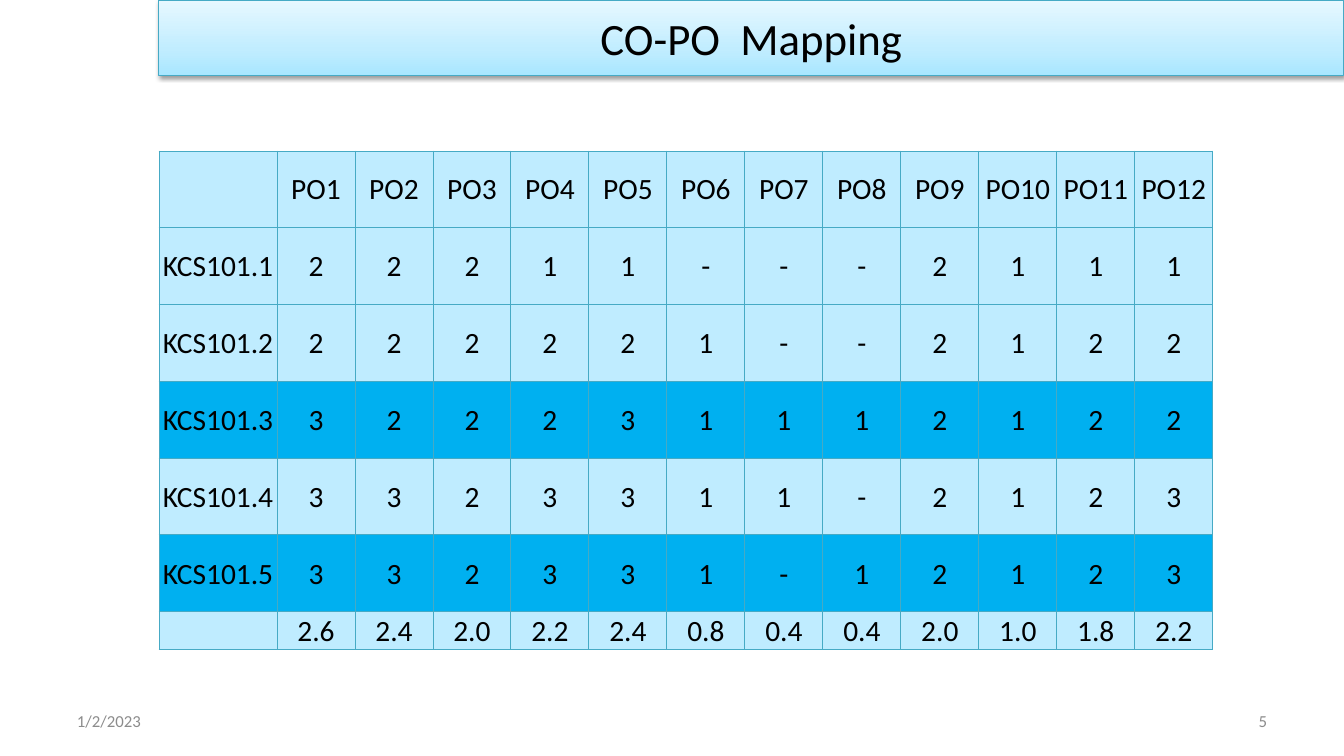
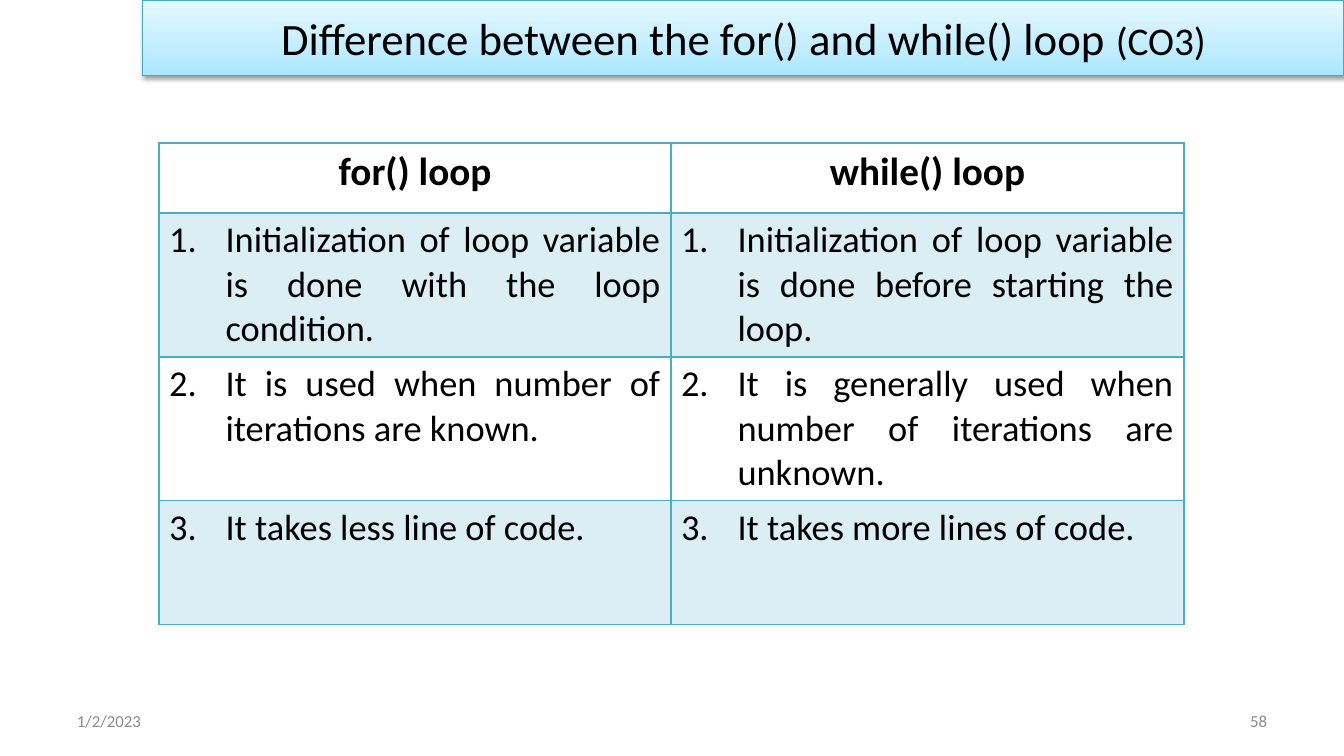
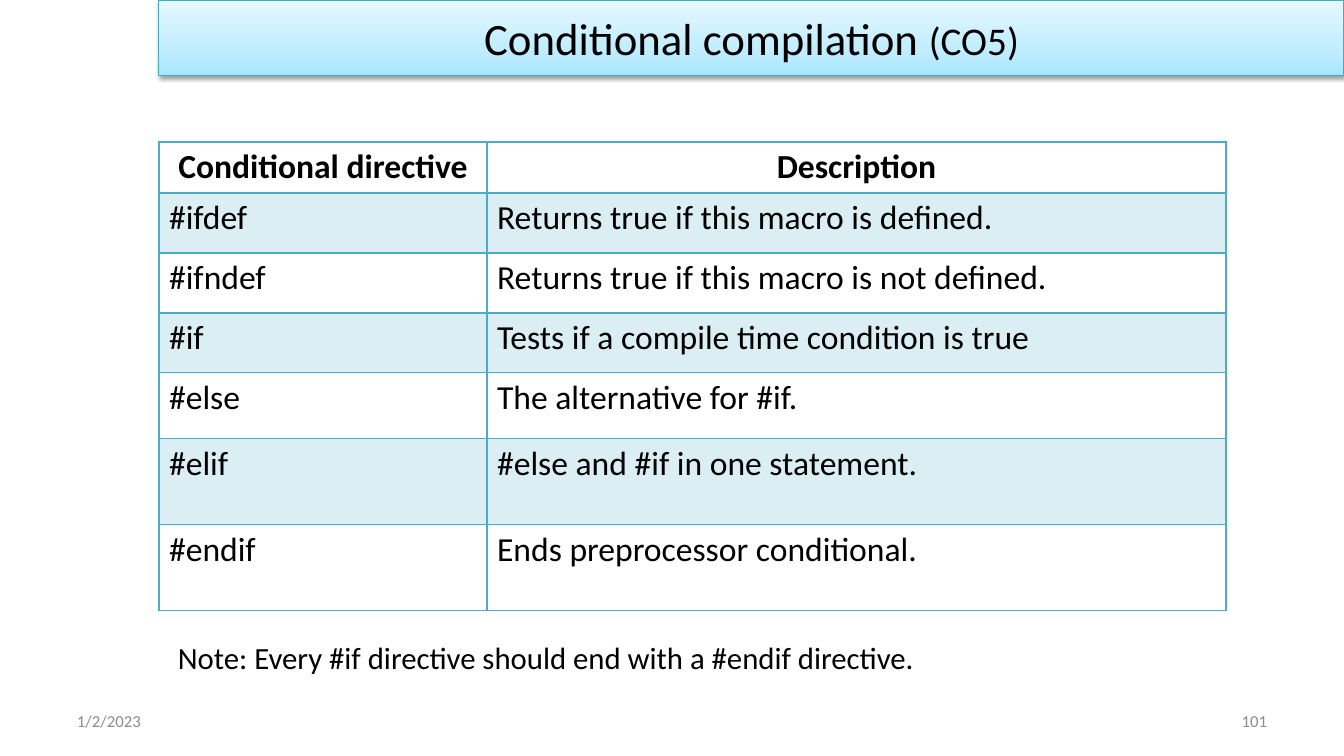
from copy import deepcopy

from pptx import Presentation, util as u
from pptx.dml.color import RGBColor
from pptx.enum import shapes, text
from pptx.oxml import parse_xml
from pptx.oxml.ns import nsdecls, qn

PX = 914400 / 100.8
WIDTH, HEIGHT = 1344, 756
LEFT = 159
AL = text.PP_ALIGN
MIDDLE = text.MSO_ANCHOR.MIDDLE


def px(n):
    """Turn pixels into EMU."""
    return u.Emu(round(n * PX))


def rgb(value):
    """Turn a hex string into a colour."""
    return RGBColor.from_string(value)


def put(obj, **values):
    """Set several attributes of one object."""
    for name, value in values.items():
        setattr(obj, name, value)


class Deck:
    """Holds the shared style and the current slide."""

    FONT = "Calibri"
    INK, MUTED = "000000", "8C8C8C"
    BAR_STOPS = [(0, "A7E6FF"), (0.35, "C1EDFF"), (1, "E7F8FF")]
    BAR_LINE, GRID_LINE = "46AAC5", "4BACC6"
    TINT, PALE, STRONG = "DBEEF4", "BFECFF", "00B0F0"
    DATE = "1/2/2023"

    def __init__(self):
        """Start an empty presentation."""
        self.prs = Presentation()
        put(self.prs, slide_width=px(WIDTH), slide_height=px(HEIGHT))

    def slide(self, title, number, bar_left=LEFT):
        """Add a slide with its footer and title bar."""
        self.s = self.prs.slides.add_slide(self.prs.slide_layouts[6])
        footer = dict(size=12, color=self.MUTED, anchor=MIDDLE)
        self.text(67, 701, 313, 40, self.DATE, **footer)
        self.text(964, 701, 313, 40, number, align=AL.RIGHT, **footer)
        self.bar(bar_left, title)

    def run(self, p, content, size, color=INK, bold=False, align=AL.LEFT):
        """Add one styled run to a paragraph."""
        p.alignment = align
        r = p.add_run()
        r.text = content
        put(r.font, name=self.FONT, size=u.Pt(size), bold=bold)
        r.font.color.rgb = rgb(color)

    def text(self, x, y, w, h, content, anchor=text.MSO_ANCHOR.TOP, **style):
        """Add a text box."""
        tf = self.s.shapes.add_textbox(px(x), px(y), px(w), px(h)).text_frame
        put(tf, word_wrap=True, vertical_anchor=anchor)
        self.run(tf.paragraphs[0], content, **style)

    def bar(self, x, title):
        """Add the shaded title bar that runs to the right edge."""
        sp = self.s.shapes.add_shape(
            shapes.MSO_SHAPE.RECTANGLE, px(x), 0, px(WIDTH - x), px(76))
        sp.fill.gradient()
        sp.fill.gradient_angle = 90
        stops = sp._element.spPr.find(".//" + qn("a:gsLst"))
        stops.append(deepcopy(stops[0]))
        for stop, (position, color) in zip(sp.fill.gradient_stops, self.BAR_STOPS):
            stop.position = position
            stop.color.rgb = rgb(color)
        sp.line.color.rgb = rgb(self.BAR_LINE)
        sp.line.width = u.Pt(0.75)
        sp.shadow.inherit = False
        sp._element.spPr.find(qn("a:effectLst")).append(parse_xml(
            f'<a:outerShdw {nsdecls("a")} blurRad="{u.Pt(3.1)}" dist="{u.Pt(1.6)}" '
            'dir="5400000" rotWithShape="0"><a:srgbClr val="000000">'
            '<a:alpha val="38000"/></a:srgbClr></a:outerShdw>'))
        put(sp.text_frame, word_wrap=True, vertical_anchor=MIDDLE)
        for content, size in title:
            self.run(sp.text_frame.paragraphs[0], content, size, align=AL.CENTER)

    def borders(self, cell, color, **widths):
        """Draw the four borders of a cell."""
        for side, width in widths.items():
            cell._tc.get_or_add_tcPr().append(parse_xml(
                f'<a:ln{side} {nsdecls("a")} w="{u.Pt(width)}"><a:solidFill>'
                f'<a:srgbClr val="{color}"/></a:solidFill></a:ln{side}>'))

    def number(self, p, start):
        """Give a paragraph an automatic number."""
        pPr = p._p.get_or_add_pPr()
        indent = u.Inches(0.56)
        pPr.set("marL", str(indent))
        pPr.set("indent", str(-indent))
        pPr.append(parse_xml(
            f'<a:buAutoNum {nsdecls("a")} type="arabicPeriod" startAt="{start}"/>'))

    def table(self, y, cols, rows, data, fills, head, body, line=GRID_LINE,
              width=1, head_width=2, numbered=False, **cell_format):
        """Add a table with one fill per row."""
        t = self.s.shapes.add_table(
            len(rows), len(cols), px(LEFT), px(y), px(sum(cols)), px(sum(rows))).table
        put(t, first_row=False, horz_banding=False)
        for col, w in zip(t.columns, cols):
            col.width = px(w)
        for i, (row, h, values, fill) in enumerate(zip(t.rows, rows, data, fills)):
            row.height = px(h)
            for cell, value in zip(row.cells, values):
                put(cell, **cell_format)
                self.borders(cell, line, L=width, R=width,
                             T=head_width if i == 1 else width,
                             B=head_width if i == 0 else width)
                if fill:
                    cell.fill.solid()
                    cell.fill.fore_color.rgb = rgb(fill)
                else:
                    cell.fill.background()
                p = cell.text_frame.paragraphs[0]
                if numbered and i:
                    self.number(p, i)
                if value:
                    self.run(p, value, **(body if i else head))


def main():
    """Build the three slides."""
    d = Deck()

    d.slide([("CO-PO  Mapping", 32)], "5")
    marks = ["2 2 2 1 1 - - - 2 1 1 1", "2 2 2 2 2 1 - - 2 1 2 2",
             "3 2 2 2 3 1 1 1 2 1 2 2", "3 3 2 3 3 1 1 - 2 1 2 3",
             "3 3 2 3 3 1 - 1 2 1 2 3"]
    means = "2.6 2.4 2.0 2.2 2.4 0.8 0.4 0.4 2.0 1.0 1.8 2.2"
    outcomes = [[""] + [f"PO{n}" for n in range(1, 13)]]
    outcomes += [[f"KCS101.{n}"] + m.split() for n, m in enumerate(marks, 1)]
    outcomes += [[""] + means.split()]
    centred = dict(size=21, align=AL.CENTER)
    d.table(151, [118] + [78] * 12, [76] + [77] * 5 + [38], outcomes,
            [d.STRONG if i in (3, 5) else d.PALE for i in range(7)],
            centred, centred, d.BAR_LINE, 0.75, 0.75,
            vertical_anchor=MIDDLE, margin_left=px(1), margin_right=px(1),
            margin_top=px(1), margin_bottom=0)

    d.slide([("Difference between the for() and while() loop ", 32), ("(CO3)", 28)],
            "58", 143)
    loops = [
        ("for() loop", "while() loop"),
        ("Initialization of loop variable is done with the loop condition.",
         "Initialization of loop variable is done before starting the loop."),
        ("It is used when number of iterations are known.",
         "It is generally used when number of iterations are unknown."),
        ("It takes less line of code.", "It takes more lines of code."),
    ]
    d.table(143, [512, 513], [70, 144, 144, 124], loops, [None, d.TINT] * 2,
            dict(size=28, bold=True, align=AL.CENTER),
            dict(size=26, align=AL.JUSTIFY), numbered=True)

    d.slide([("Conditional compilation ", 32), ("(CO5)", 28)], "101")
    directives = [
        ("Conditional directive", "Description"),
        ("#ifdef", "Returns true if this macro is defined."),
        ("#ifndef", "Returns true if this macro is not defined."),
        ("#if", "Tests if a compile time condition is true"),
        ("#else", "The alternative for #if."),
        ("#elif", "#else and #if in one statement."),
        ("#endif", "Ends preprocessor conditional."),
    ]
    d.table(142, [328, 739], [51, 60, 60, 60, 66, 86, 86], directives,
            [None, d.TINT] * 3 + [None],
            dict(size=24, bold=True, align=AL.CENTER), dict(size=24))
    d.text(168, 634, 958, 85,
           "Note: Every #if directive should end with a #endif directive.", size=22)

    d.prs.save("out.pptx")


if __name__ == "__main__":
    main()
